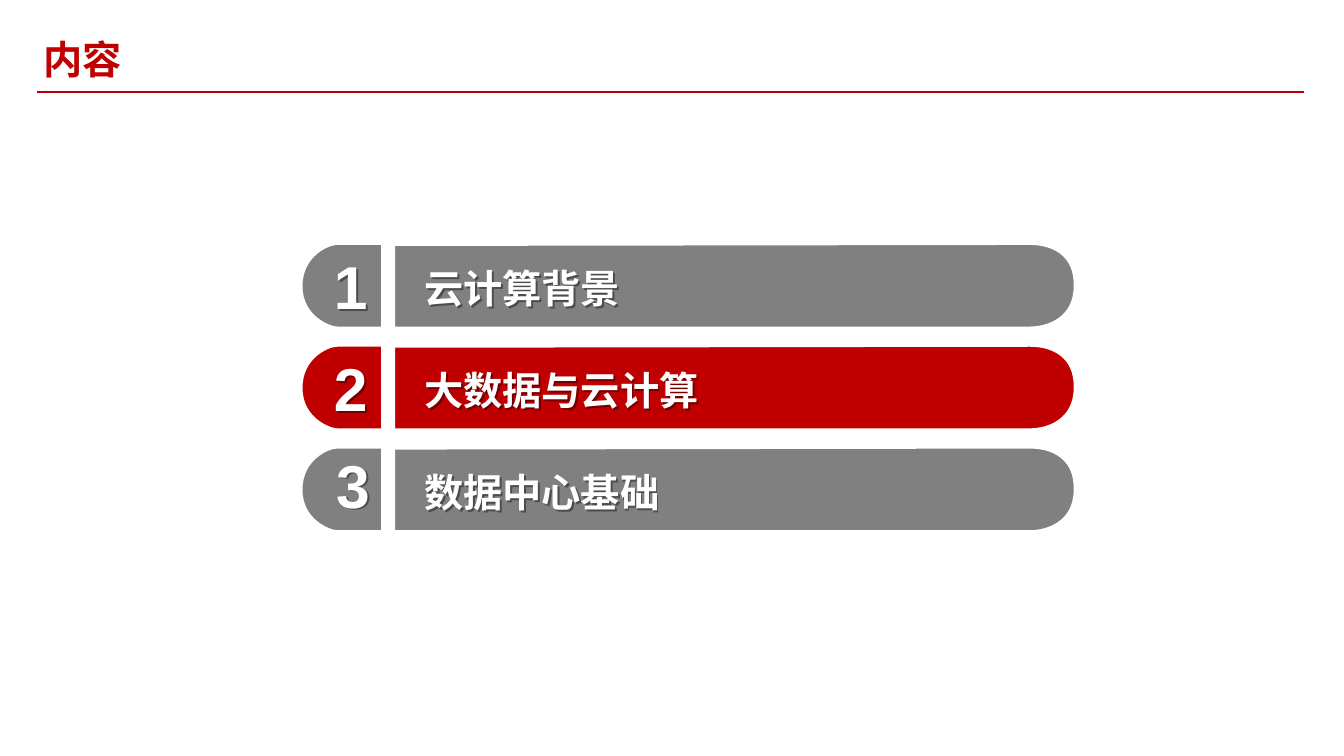
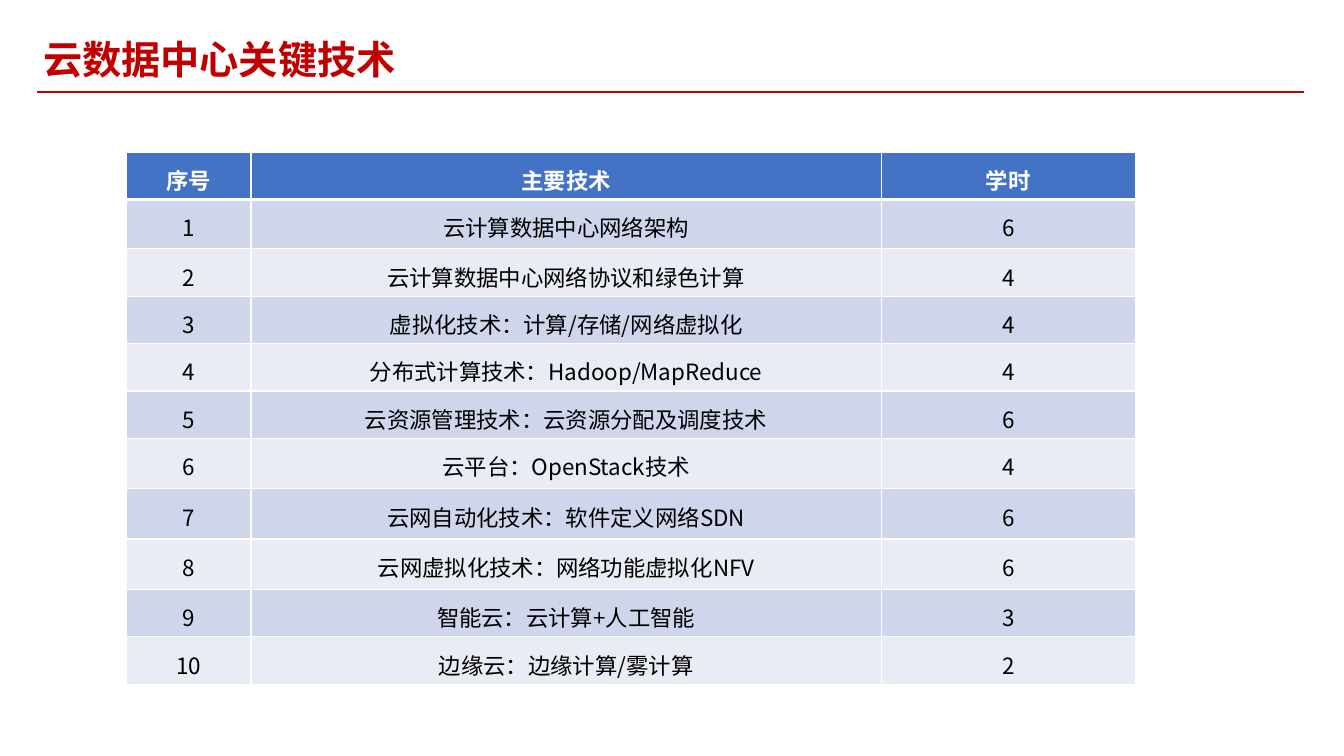
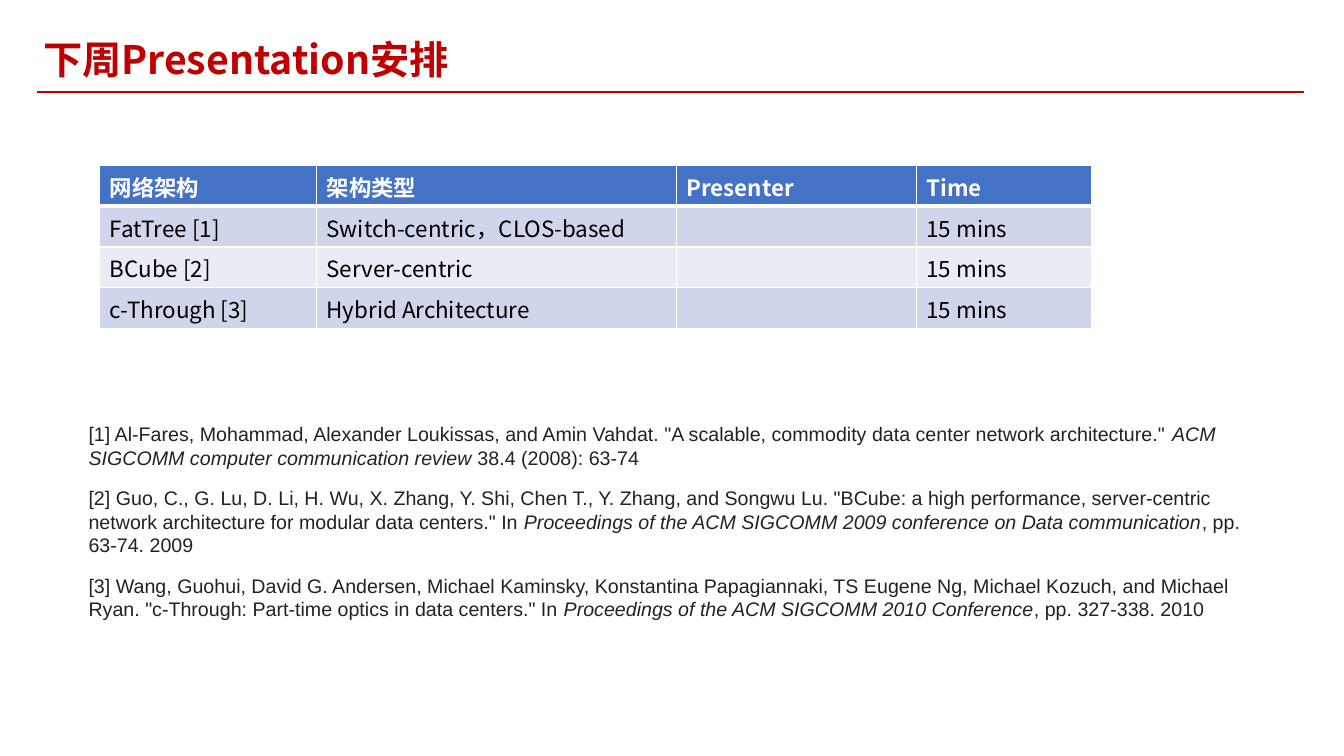
from dataclasses import dataclass

from lxml import etree
from pptx import Presentation
from pptx.dml.color import RGBColor
from pptx.enum.shapes import MSO_CONNECTOR, MSO_SHAPE
from pptx.enum.text import MSO_ANCHOR, PP_ALIGN
from pptx.oxml.ns import qn
from pptx.shapes.base import BaseShape
from pptx.slide import Slide
from pptx.table import _Cell
from pptx.text.text import TextFrame, _Paragraph
from pptx.util import Inches, Pt

LEFT, CENTER = PP_ALIGN.LEFT, PP_ALIGN.CENTER
TOP, MIDDLE = MSO_ANCHOR.TOP, MSO_ANCHOR.MIDDLE
RECTANGLE = MSO_SHAPE.RECTANGLE
STRAIGHT = MSO_CONNECTOR.STRAIGHT

Point = tuple[float, float]


@dataclass(frozen=True)
class Theme:
    red: str = "C00000"
    grey: str = "808080"
    white: str = "FFFFFF"
    black: str = "000000"
    reference: str = "222222"
    header: str = "4472C4"
    bands: tuple[str, str] = ("CFD5EA", "E9EBF5")
    cjk: str = "Noto Sans CJK SC"
    latin: str = "Arial"
    title_size: float = 28
    number_size: float = 43.2
    table_size: float = 16
    reference_size: float = 14
    rule_width: float = 1.5


THEME = Theme()


@dataclass(frozen=True)
class TextStyle:
    font: str
    size: float
    color: str
    bold: bool = False


TITLE = TextStyle(THEME.cjk, THEME.title_size, THEME.red, bold=True)
AGENDA_LABEL = TextStyle(THEME.cjk, THEME.title_size, THEME.white, bold=True)
AGENDA_NUMBER = TextStyle(THEME.latin, THEME.number_size, THEME.white, bold=True)
TABLE_HEAD = TextStyle(THEME.cjk, THEME.table_size, THEME.white, bold=True)
TABLE_BODY = TextStyle(THEME.cjk, THEME.table_size, THEME.black)
REFERENCE = TextStyle(THEME.latin, THEME.reference_size, THEME.reference)


@dataclass(frozen=True)
class AgendaItem:
    label: str
    color: str = THEME.grey
    number_shift: Point = (0, 0)


@dataclass(frozen=True)
class Outline:
    """Straight corners, then cubic curves of two controls and an end each."""
    corners: list[Point]
    curves: list[tuple[Point, Point, Point]]


@dataclass(frozen=True)
class TableLayout:
    left: float
    top: float
    columns: list[float]
    rows: list[float]
    align: PP_ALIGN = LEFT
    line_spacing: float = 1.0


@dataclass(frozen=True)
class Citation:
    lead: str
    venue: str
    tail: str


AGENDA = [
    AgendaItem("云计算背景"),
    AgendaItem("大数据与云计算", THEME.red),
    AgendaItem("数据中心基础", number_shift=(0.02, -0.05)),
]
AGENDA_TOP, AGENDA_PITCH = 2.42, 1.01

LABEL_BAR = Outline(
    [(3.91, 0.01), (3.91, 0.83), (10.22, 0.83)],
    [
        ((10.39, 0.83), (10.66, 0.74), (10.66, 0.42)),
        ((10.67, 0.1), (10.43, 0), (10.22, 0)),
        ((10.01, 0), (4.14, 0.01), (3.91, 0.01)),
    ],
)
NUMBER_CAP = Outline(
    [(3.79, 0), (3.79, 0.83), (3.34, 0.83)],
    [
        ((3.28, 0.83), (2.99, 0.73), (2.99, 0.42)),
        ((2.99, 0.11), (3.26, 0), (3.34, 0)),
    ],
)

TECHNOLOGIES = [
    ("云计算数据中心网络架构", 6),
    ("云计算数据中心网络协议和绿色计算", 4),
    ("虚拟化技术：计算/存储/网络虚拟化", 4),
    ("分布式计算技术：Hadoop/MapReduce", 4),
    ("云资源管理技术：云资源分配及调度技术", 6),
    ("云平台：OpenStack技术", 4),
    ("云网自动化技术：软件定义网络SDN", 6),
    ("云网虚拟化技术：网络功能虚拟化NFV", 6),
    ("智能云：云计算+人工智能", 3),
    ("边缘云：边缘计算/雾计算", 2),
]
TECHNOLOGY_LAYOUT = TableLayout(
    1.25, 1.51, [1.24, 6.25, 2.52],
    [0.47, 0.49] + [0.47] * 4 + [0.5] * 3 + [0.47] * 2,
    CENTER, 1.2,
)

SCHEDULE = [
    ("网络架构", "架构类型", "Presenter", "Time"),
    ("FatTree [1]", "Switch-centric，CLOS-based", "", "15 mins"),
    ("BCube [2]", "Server-centric", "", "15 mins"),
    ("c-Through [3]", "Hybrid Architecture", "", "15 mins"),
]
SCHEDULE_LAYOUT = TableLayout(0.99, 1.64, [2.15, 3.57, 2.38, 1.74], [1.62 / 4] * 4)

CITATIONS = [
    Citation(
        "[1] Al-Fares, Mohammad, Alexander Loukissas, and Amin Vahdat. "
        '"A scalable, commodity data center network architecture." ',
        "ACM SIGCOMM computer communication review",
        " 38.4 (2008): 63-74",
    ),
    Citation(
        "[2] Guo, C., G. Lu, D. Li, H. Wu, X. Zhang, Y. Shi, Chen T., Y. Zhang, "
        'and Songwu Lu. "BCube: a high performance, server-centric network '
        'architecture for modular data centers." In ',
        "Proceedings of the ACM SIGCOMM 2009 conference on Data communication",
        ", pp. 63-74. 2009",
    ),
    Citation(
        "[3] Wang, Guohui, David G. Andersen, Michael Kaminsky, Konstantina "
        "Papagiannaki, TS Eugene Ng, Michael Kozuch, and Michael Ryan. "
        '"c-Through: Part-time optics in data centers." In ',
        "Proceedings of the ACM SIGCOMM 2010 Conference",
        ", pp. 327-338. 2010",
    ),
]


def rgb(color: str) -> RGBColor:
    return RGBColor.from_string(color)


def add_run(paragraph: _Paragraph, text: str, style: TextStyle, italic: bool = False) -> None:
    run = paragraph.add_run()
    run.text = text
    formats = {"name": style.font, "size": Pt(style.size), "bold": style.bold, "italic": italic}
    for attribute, value in formats.items():
        setattr(run.font, attribute, value)
    run.font.color.rgb = rgb(style.color)
    east_asian = etree.Element(qn("a:ea"), typeface=style.font)
    run.font._element.find(qn("a:latin")).addnext(east_asian)


def format_frame(frame: TextFrame, anchor: MSO_ANCHOR, side: float = 0.1, vertical: float = 0) -> None:
    formats = {
        "word_wrap": True, "vertical_anchor": anchor,
        "margin_left": Inches(side), "margin_right": Inches(side),
        "margin_top": Inches(vertical), "margin_bottom": Inches(vertical),
    }
    for attribute, value in formats.items():
        setattr(frame, attribute, value)


def add_text_box(slide: Slide, left: float, top: float, width: float, height: float) -> BaseShape:
    return slide.shapes.add_textbox(Inches(left), Inches(top), Inches(width), Inches(height))


def add_text_shadow(box: BaseShape) -> None:
    """Shadow of an unfilled box, which falls from its letters."""
    effects = etree.SubElement(box._element.spPr, qn("a:effectLst"))
    shadow = etree.SubElement(effects, qn("a:outerShdw"), dist=str(Pt(2)),
                              dir="2700000", algn="tl", rotWithShape="0")
    shade = etree.SubElement(shadow, qn("a:srgbClr"), val=THEME.black)
    etree.SubElement(shade, qn("a:alpha"), val="40000")


def paint(shape: BaseShape, fill: str) -> None:
    shape.shadow.inherit = False
    shape.fill.solid()
    shape.fill.fore_color.rgb = rgb(fill)


def add_titled_slide(deck: Presentation, title: str) -> Slide:
    slide = deck.slides.add_slide(deck.slide_layouts[6])
    rule = slide.shapes.add_connector(STRAIGHT, Inches(0.37), Inches(0.91), Inches(12.93), Inches(0.91))
    rule.line.color.rgb = rgb(THEME.red)
    rule.line.width = Pt(THEME.rule_width)
    etree.SubElement(rule._element.spPr, qn("a:effectLst"))

    heading = slide.shapes.add_shape(RECTANGLE, Inches(0.33), Inches(0.3), Inches(12.81), Inches(0.57))
    paint(heading, THEME.white)
    heading.line.fill.background()
    format_frame(heading.text_frame, MIDDLE)
    paragraph = heading.text_frame.paragraphs[0]
    paragraph.alignment = LEFT
    add_run(paragraph, title, TITLE)
    return slide


def add_outline(slide: Slide, outline: Outline, top: float, fill: str) -> None:
    curve_points = [point for curve in outline.curves for point in curve]
    points = [(Inches(x), Inches(top + y)) for x, y in outline.corners + curve_points]
    builder = slide.shapes.build_freeform(*points[0])
    builder.add_line_segments(points[1:], close=True)
    shape = builder.convert_to_shape()

    segments = list(shape._element.iter(qn("a:lnTo")))[len(outline.corners) - 1:]
    for start in range(0, len(curve_points), 3):
        bezier = etree.Element(qn("a:cubicBezTo"))
        segments[start].addprevious(bezier)
        for segment in segments[start:start + 3]:
            bezier.append(segment[0])
            segment.getparent().remove(segment)

    paint(shape, fill)
    shape.line.color.rgb = rgb(THEME.white)
    shape.line.width = Pt(THEME.rule_width)


def add_agenda_item(slide: Slide, index: int, item: AgendaItem) -> None:
    top = AGENDA_TOP + index * AGENDA_PITCH
    for outline in (LABEL_BAR, NUMBER_CAP):
        add_outline(slide, outline, top, item.color)

    label = add_text_box(slide, 4.11, top + 0.15, 6.47, 0.57)
    format_frame(label.text_frame, MIDDLE)
    add_run(label.text_frame.paragraphs[0], item.label, AGENDA_LABEL)
    add_text_shadow(label)

    shift_x, shift_y = item.number_shift
    number = add_text_box(slide, 3.23 + shift_x, top + 0.05 + shift_y, 0.5, 0.7)
    format_frame(number.text_frame, TOP, side=0)
    paragraph = number.text_frame.paragraphs[0]
    paragraph.alignment = CENTER
    add_run(paragraph, str(index + 1), AGENDA_NUMBER)
    add_text_shadow(number)


def add_borders(cell: _Cell, widths: dict[str, float]) -> None:
    properties = cell._tc.get_or_add_tcPr()
    for position, (side, width) in enumerate(widths.items()):
        border = etree.Element(qn(f"a:ln{side}"), w=str(Pt(width)))
        fill = etree.SubElement(border, qn("a:solidFill"))
        etree.SubElement(fill, qn("a:srgbClr"), val=THEME.white)
        properties.insert(position, border)


def add_banded_table(slide: Slide, layout: TableLayout, rows: list[tuple]) -> None:
    table = slide.shapes.add_table(
        len(rows), len(layout.columns), Inches(layout.left), Inches(layout.top),
        Inches(sum(layout.columns)), Inches(sum(layout.rows)),
    ).table
    for column, width in zip(table.columns, layout.columns):
        column.width = Inches(width)
    for row, height in zip(table.rows, layout.rows):
        row.height = Inches(height)

    for row_index, values in enumerate(rows):
        is_head = row_index == 0
        fill = THEME.header if is_head else THEME.bands[(row_index - 1) % 2]
        style = TABLE_HEAD if is_head else TABLE_BODY
        borders = {"L": 1, "R": 1, "T": 3 if row_index == 1 else 1, "B": 3 if is_head else 1}
        for column_index, value in enumerate(values):
            cell = table.cell(row_index, column_index)
            cell.fill.solid()
            cell.fill.fore_color.rgb = rgb(fill)
            cell.margin_bottom = Inches(0.03)
            add_borders(cell, borders)
            paragraph = cell.text_frame.paragraphs[0]
            paragraph.alignment = layout.align
            paragraph.line_spacing = layout.line_spacing
            if value == "":
                paragraph.font.size = Pt(style.size)
            else:
                add_run(paragraph, str(value), style)


def add_citations(slide: Slide) -> None:
    frame = add_text_box(slide, 0.78, 4.14, 11.65, 2.09).text_frame
    format_frame(frame, TOP, vertical=0.05)
    for index, citation in enumerate(CITATIONS):
        paragraph = frame.add_paragraph() if index else frame.paragraphs[0]
        if index:
            paragraph.space_before = Pt(12)
        add_run(paragraph, citation.lead, REFERENCE)
        add_run(paragraph, citation.venue, REFERENCE, italic=True)
        add_run(paragraph, citation.tail, REFERENCE)


def main() -> None:
    deck = Presentation()
    deck.slide_width, deck.slide_height = Inches(13.33), Inches(7.5)

    agenda = add_titled_slide(deck, "内容")
    for index, item in enumerate(AGENDA):
        add_agenda_item(agenda, index, item)

    technologies = add_titled_slide(deck, "云数据中心关键技术")
    numbered = [(number, *entry) for number, entry in enumerate(TECHNOLOGIES, start=1)]
    add_banded_table(technologies, TECHNOLOGY_LAYOUT, [("序号", "主要技术", "学时"), *numbered])

    schedule = add_titled_slide(deck, "下周Presentation安排")
    add_banded_table(schedule, SCHEDULE_LAYOUT, SCHEDULE)
    add_citations(schedule)

    deck.save("out.pptx")


if __name__ == "__main__":
    main()
